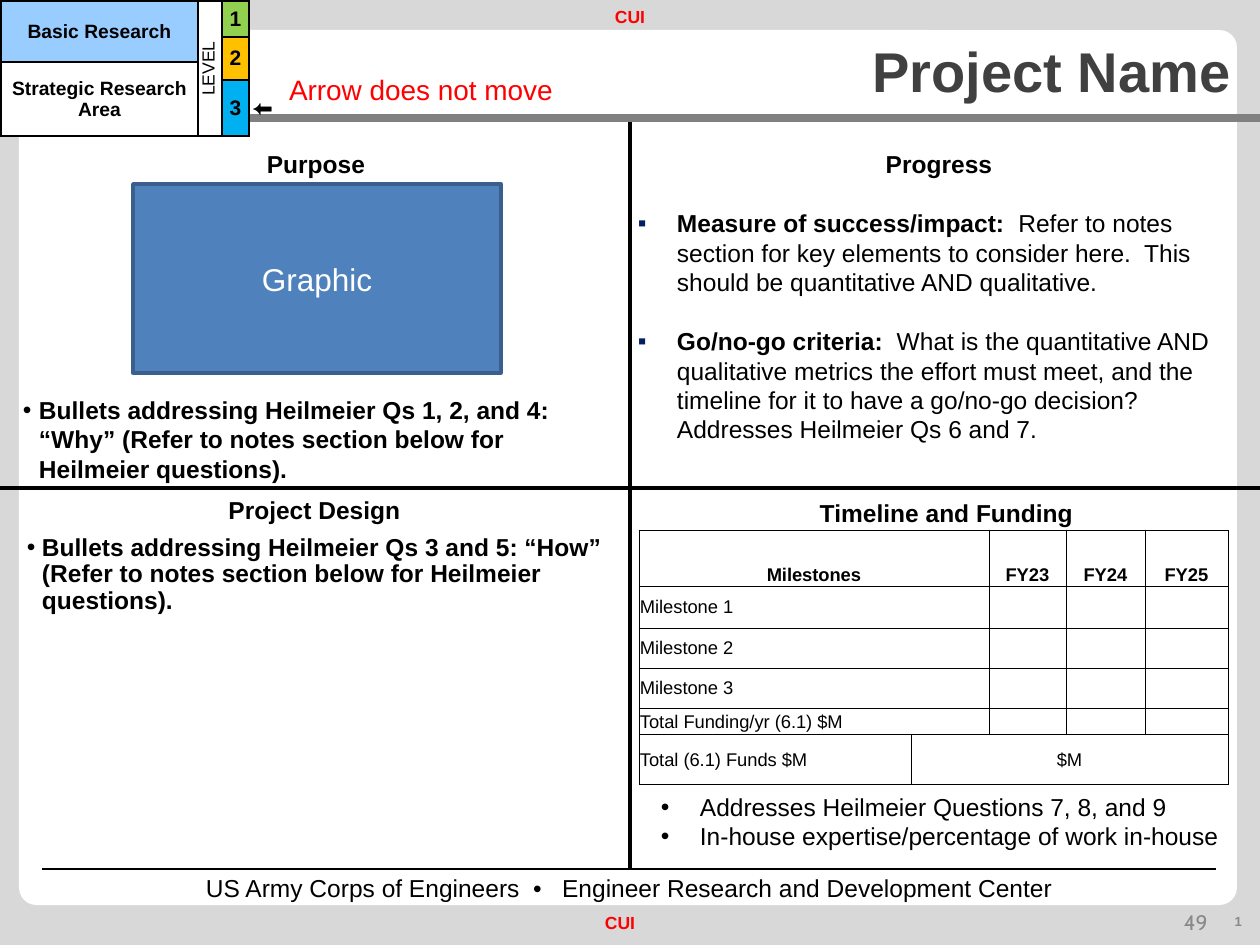
import pptx
import pptx.dml.color
import pptx.enum.shapes
import pptx.enum.text
import pptx.oxml
import pptx.oxml.ns
import pptx.util
from lxml import etree

PX = 914400 // 126
HUES = {"back": "D8D8D8", "white": "FFFFFF", "black": "000000", "red": "FF0000",
        "blue": "4F81BD", "edge": "3A5F8C", "gray": "808080", "dim": "898989",
        "dark": "404040", "navy": "002060", "sky": "99CCFF", "green": "92D050",
        "gold": "FFC000", "cyan": "00B0F0"}
ALIGN = {"l": pptx.enum.text.PP_ALIGN.LEFT, "c": pptx.enum.text.PP_ALIGN.CENTER,
         "r": pptx.enum.text.PP_ALIGN.RIGHT}
ANCHOR = {"t": pptx.enum.text.MSO_ANCHOR.TOP, "m": pptx.enum.text.MSO_ANCHOR.MIDDLE,
          "b": pptx.enum.text.MSO_ANCHOR.BOTTOM}
PLAIN = "{2D5ABB26-0587-4C30-8999-92F81FD0307C}"  # table style with no grid

# Content: a paragraph is a string, or a list of (words, bold) plus its own format
MARK = dict(left=39, hang=39, bullet="▪", tint="navy")
DOT = dict(left=39, hang=39, bullet="•")
SMALL = dict(size=10, bold=True, hue="red", align="c")
HEAD = dict(bold=True, align="c", inset=(0, 0))
BOXES = [  # left, top, width, height, paragraphs, format
    (43, 867, 1173, 43, ["US Army Corps of Engineers  •   Engineer Research and Development Center"],
     dict(align="c")),
    (0, 0, 1260, 34, ["CUI"], SMALL),
    (-10, 906, 1260, 34, ["CUI"], SMALL),
    (1154, 896, 101, 50, ["1"], dict(size=7.5, bold=True, hue="dim", align="r", anchor="m")),
    (1184, 910, 27, 28, ["49"], dict(size=12, hue="dim", face="Cabin", inset=(0, 0))),
    (103, 149, 426, 30, ["Purpose"], HEAD),
    (643, 498, 607, 30, ["Timeline and Funding"], HEAD),
    (638, 149, 590, 299, [
        ([("Progress", True)], dict(align="c", left=12)),
        ([("Measure of success/impact:  ", True),
          ("Refer to notes section for key elements to consider here.  "
           "This should be quantitative AND qualitative.", False)], dict(MARK, before=17)),
        ([("Go/no-go criteria:  ", True),
          ("What is the quantitative AND qualitative metrics the effort must meet, and the "
           "timeline for it to have a go/no-go decision? Addresses Heilmeier Qs 6 and 7.", False)],
         dict(MARK, before=17))], dict(inset=(0, 0))),
    (10, 498, 609, 155, [
        ([("Project Design", True)], dict(align="c")),
        ([("Bullets addressing Heilmeier Qs 3 and 5: “How” (Refer to notes section below "
           "for Heilmeier questions).", True)], dict(left=32, hang=15, bullet="•"))],
     dict(inset=(0, 0), lead=0.9, after=6)),
    (10, 389, 593, 102, ["Bullets addressing Heilmeier Qs 1, 2, and 4: “Why” (Refer to notes "
                         "section below for Heilmeier questions)."],
     dict(bold=True, left=16, hang=16, bullet="•")),
    (648, 786, 593, 72, ["Addresses Heilmeier Questions 7, 8, and 9",
                         "In-house expertise/percentage of work in-house"], DOT),
    (276, 16, 968, 108, ["Project Name"],
     dict(size=32, bold=True, hue="dark", align="r", anchor="m")),
    (276, 67, 396, 47, ["Arrow does not move"], dict(size=16, hue="red")),
]
LINES = [  # from x, y, to x, y, hue, points
    (42, 869, 1216, 869, "black", 1.5), (0, 488, 1260, 488, "black", 1.8),
    (630, 116, 630, 870, "black", 1.8), (0, 118, 1260, 118, "gray", 4.5)]

# Table cells: row, column, rows spanned, columns spanned, text, fill, format
BOLD = dict(bold=True, align="c")
YEARS = ["FY23", "FY24", "FY25"]
TASKS = ["Milestone 1", "Milestone 2", "Milestone 3", "Total Funding/yr (6.1) $M"]
FUNDS = [(0, 0, 1, 2, "Milestones", "white", dict(BOLD, anchor="b"))]
FUNDS += [(0, c, 1, 1, year, "white", dict(BOLD, anchor="b")) for c, year in enumerate(YEARS, 2)]
for r, task in enumerate(TASKS, 1):
    FUNDS.append((r, 0, 1, 2, task, "white", {}))
    FUNDS += [(r, c, 1, 1, "", "white", {}) for c in (2, 3, 4)]
FUNDS += [(5, 0, 1, 1, "Total (6.1) Funds $M", "white", {}),
          (5, 1, 1, 4, "$M", "white", dict(align="c"))]
LEVEL = [
    (0, 0, 2, 1, "Basic Research", "sky", dict(BOLD, size=11)),
    (2, 0, 2, 1, "Strategic Research Area", "white", dict(BOLD, size=11)),
    (0, 1, 4, 1, "LEVEL", "white", dict(align="c", size=10)),
    (0, 2, 1, 1, "1", "green", dict(BOLD, size=12)),
    (1, 2, 2, 1, "2", "gold", dict(BOLD, size=12)),
    (3, 2, 1, 1, "3", "cyan", dict(BOLD, size=12)),
    (3, 3, 1, 1, "⬅", None, dict(BOLD, size=12))]


def rgb(hue):
    return pptx.dml.color.RGBColor.from_string(HUES[hue])


def add(node, tag, **attrs):
    return etree.SubElement(node, pptx.oxml.ns.qn(tag), **attrs)


def style(para, runs, size=14, bold=False, hue="black", face="Arial", align="l",
          left=0, hang=0, bullet=None, tint=None, before=0, after=0, lead=None):
    para.alignment = ALIGN[align]
    para.space_before, para.space_after = pptx.util.Pt(before), pptx.util.Pt(after)
    if lead:
        para.line_spacing = lead
    props = para._p.get_or_add_pPr()
    props.set("marL", str(left * PX))
    props.set("indent", str(-hang * PX))
    if tint:
        add(add(props, "a:buClr"), "a:srgbClr", val=HUES[tint])
    if bullet:
        add(props, "a:buFont", typeface="Arial")
        add(props, "a:buChar", char=bullet)
    para.font.size = pptx.util.Pt(size)
    for words, heavy in [(runs, bold)] if isinstance(runs, str) else runs:
        run = para.add_run()
        run.text = words
        font = run.font
        font.size, font.bold, font.name = pptx.util.Pt(size), heavy, face
        font.color.rgb = rgb(hue)


def write(frame, paras, anchor="t", inset=(13, 6), **form):
    frame.word_wrap = True
    frame.vertical_anchor = ANCHOR[anchor]
    frame.margin_left = frame.margin_right = inset[0] * PX
    frame.margin_top = frame.margin_bottom = inset[1] * PX
    for i, item in enumerate(paras):
        para = frame.add_paragraph() if i else frame.paragraphs[0]
        runs, own = (item, {}) if isinstance(item, str) else item
        style(para, runs, **{**form, **own})


def shape(kind, box, fill):
    item = slide.shapes.add_shape(kind, *[n * PX for n in box])
    item.shadow.inherit = False
    item.fill.solid()
    item.fill.fore_color.rgb = rgb(fill)
    item.line.fill.background()
    return item


def line(x, y, x2, y2, hue, width):
    item = slide.shapes.add_connector(pptx.enum.shapes.MSO_CONNECTOR.STRAIGHT,
                                      x * PX, y * PX, x2 * PX, y2 * PX)
    item.line.color.rgb = rgb(hue)
    item.line.width = pptx.util.Pt(width)
    add(item._element.spPr, "a:effectLst")


def border(cell, width):
    props = cell._tc.get_or_add_tcPr()
    for i, side in enumerate(("a:lnL", "a:lnR", "a:lnT", "a:lnB")):
        edge = props.makeelement(pptx.oxml.ns.qn(side), {"w": str(int(width * 12700))})
        add(add(edge, "a:solidFill"), "a:srgbClr", val=HUES["black"])
        props.insert(i, edge)


def grid(xs, ys, cells, width):
    """Build a table from the px places of its column and row edges."""
    rows, cols = len(ys) - 1, len(xs) - 1
    table = slide.shapes.add_table(rows, cols, xs[0] * PX, ys[0] * PX,
                                   (xs[-1] - xs[0]) * PX, (ys[-1] - ys[0]) * PX).table
    table.first_row = table.horz_banding = False
    table._tbl.tblPr.find(pptx.oxml.ns.qn("a:tableStyleId")).text = PLAIN
    for i, col in enumerate(table.columns):
        col.width = (xs[i + 1] - xs[i]) * PX
    for i, row in enumerate(table.rows):
        row.height = (ys[i + 1] - ys[i]) * PX
        for cell in row.cells:
            cell.margin_left = cell.margin_right = cell.margin_top = cell.margin_bottom = PX
            cell.text_frame.paragraphs[0].font.size = pptx.util.Pt(6)
    for r, c, down, wide, text, fill, form in cells:
        cell = table.cell(r, c)
        if down * wide > 1:
            cell.merge(table.cell(r + down - 1, c + wide - 1))
        form = {"size": 10.5, "anchor": "m", **form}
        cell.vertical_anchor = ANCHOR[form.pop("anchor")]
        if text:
            style(cell.text_frame.paragraphs[0], text, **form)
        if fill:
            cell.fill.solid()
            cell.fill.fore_color.rgb = rgb(fill)
            for y in range(r, r + down):
                for x in range(c, c + wide):
                    border(table.cell(y, x), width)
    return table


deck = pptx.Presentation()
deck.slide_width, deck.slide_height = 1260 * PX, 945 * PX
slide = deck.slides.add_slide(deck.slide_layouts[6])
slide.background.fill.solid()
slide.background.fill.fore_color.rgb = rgb("back")

# Panel, graphic and dividers
kinds = pptx.enum.shapes.MSO_SHAPE
shape(kinds.ROUNDED_RECTANGLE, (19, 30, 1218, 875), "white").adjustments[0] = 0.02
pic = shape(kinds.RECTANGLE, (133, 184, 368, 189), "blue")
pic.line.color.rgb = rgb("edge")
pic.line.width = pptx.util.Pt(2)
write(pic.text_frame, ["Graphic"], size=18, hue="white", align="c", anchor="m")
for part in LINES:
    line(*part)

# Tables
grid([639, 911, 989, 1066, 1145, 1228], [530, 586, 628, 668, 709, 735, 785], FUNDS, 0.5)
level = grid([1, 198, 222, 249, 276], [1, 37, 62, 80, 136], LEVEL, 1)
level.cell(0, 1)._tc.get_or_add_tcPr().set("vert", "vert270")

# Text
for *box, paras, form in BOXES:
    write(slide.shapes.add_textbox(*[n * PX for n in box]).text_frame, paras, **form)

deck.save("out.pptx")
